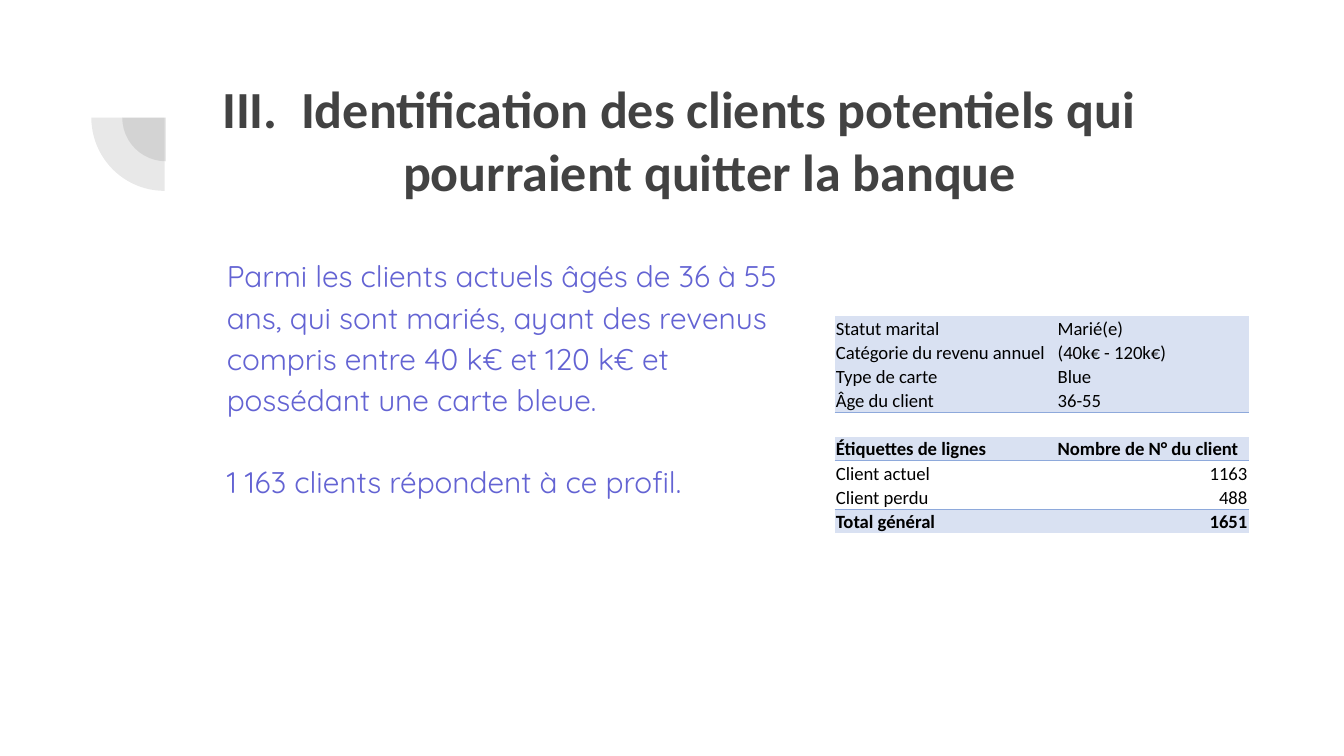
from typing import NamedTuple

from lxml import etree
from pptx import Presentation
from pptx.dml.color import RGBColor
from pptx.enum.shapes import MSO_SHAPE
from pptx.enum.text import MSO_ANCHOR, PP_ALIGN
from pptx.oxml.ns import qn
from pptx.util import Inches, Pt

PIE = MSO_SHAPE.PIE
TOP, BOTTOM = MSO_ANCHOR.TOP, MSO_ANCHOR.BOTTOM
LEFT, CENTER, RIGHT = PP_ALIGN.LEFT, PP_ALIGN.CENTER, PP_ALIGN.RIGHT
COLORS = {"dark": "424242", "violet": "6363D3", "black": "000000",
          "band": "D9E1F2", "rule": "8EA9DB"}
NO_TABLE_STYLE = "{2D5ABB26-0587-4C30-8999-92F81FD0307C}"


class Box(NamedTuple):
    left: float
    top: float
    width: float
    height: float


class Insets(NamedTuple):
    left: float
    top: float
    right: float
    bottom: float


class TextStyle(NamedTuple):
    font: str
    size: float
    color: str
    bold: bool = False


class TableRow(NamedTuple):
    label: str = ""
    value: str = ""
    banded: bool = False
    bold: bool = False
    rule_below: bool = False
    value_align: PP_ALIGN = LEFT


QUARTERS = [Box(0.91, 0.55, 0.65, 0.65), Box(0.68, 0.33, 1.09, 1.09)]
TITLE = ("III.  Identification des clients potentiels qui\v"
         "pourraient quitter la banque")
BODY = [
    "Parmi les clients actuels âgés de 36 à 55 ans, qui sont mariés, ayant des "
    "revenus compris entre 40 k€ et 120 k€ et possédant une carte bleue.",
    "1 163 clients répondent à ce profil.",
]
ROWS = [
    TableRow("Statut marital", "Marié(e)", banded=True),
    TableRow("Catégorie du revenu annuel", "(40k€ - 120k€)", banded=True),
    TableRow("Type de carte", "Blue", banded=True),
    TableRow("Âge du client", "36-55", banded=True, rule_below=True),
    TableRow(),
    TableRow("Étiquettes de lignes", "Nombre de N° du client",
             banded=True, bold=True, rule_below=True),
    TableRow("Client actuel", "1163", value_align=RIGHT),
    TableRow("Client perdu", "488", rule_below=True, value_align=RIGHT),
    TableRow("Total général", "1651", banded=True, bold=True, value_align=RIGHT),
]
COLUMN_WIDTHS = [1.65, 1.43]
ROW_HEIGHT = 0.18
TABLE_TEXT_SIZE = 10


def rgb(name: str) -> RGBColor:
    return RGBColor.from_string(COLORS[name])


def format_runs(paragraph, style: TextStyle) -> None:
    for run in paragraph.runs:
        run.font.name = style.font
        run.font.size = Pt(style.size)
        run.font.bold = style.bold
        run.font.color.rgb = rgb(style.color)


def add_quarter(slide, box: Box) -> None:
    shape = slide.shapes.add_shape(PIE, *map(Inches, box))
    shape.adjustments[0], shape.adjustments[1] = 108, 162
    shape.rotation = 270
    shape.shadow.inherit = False
    shape.line.fill.background()
    shape.fill.solid()
    shape.fill.fore_color.rgb = rgb("dark")
    color = shape.fill._xPr.find(f".//{qn('a:srgbClr')}")
    etree.SubElement(color, qn("a:alpha"), val="12000")


def add_text_frame(slide, box: Box, insets: Insets):
    text_frame = slide.shapes.add_textbox(*map(Inches, box)).text_frame
    text_frame.word_wrap = True
    text_frame.vertical_anchor = TOP
    text_frame.margin_left = Inches(insets.left)
    text_frame.margin_top = Inches(insets.top)
    text_frame.margin_right = Inches(insets.right)
    text_frame.margin_bottom = Inches(insets.bottom)
    return text_frame


def set_indent(paragraph, left: float, first_line: float = 0) -> None:
    properties = paragraph._p.get_or_add_pPr()
    properties.set("marL", str(Inches(left)))
    properties.set("indent", str(Inches(first_line)))


def add_title(slide) -> None:
    # The hanging indent sets the first line a little left of the second
    hang = 0.46
    text_frame = add_text_frame(slide, Box(1.27, 0.48, 8.02, 1.09),
                                Insets(0, 0.09, hang, 0))
    text_frame.text = TITLE
    paragraph = text_frame.paragraphs[0]
    set_indent(paragraph, hang, -hang)
    paragraph.alignment = CENTER
    format_runs(paragraph, TextStyle("Calibri", 27.9, "dark", bold=True))


def add_body(slide) -> None:
    text_frame = add_text_frame(slide, Box(1.43, 1.51, 4.53, 2.61),
                                Insets(0.1, 0.37, 0.1, 0.1))
    text_frame.text = "\n".join(BODY)
    for index, paragraph in enumerate(text_frame.paragraphs):
        set_indent(paragraph, 0.16)
        paragraph.line_spacing = 1.15
        if index:
            paragraph.space_before = Pt(22)
        format_runs(paragraph, TextStyle("Quicksand", 16, "violet"))


def add_border(cell, side: str, visible: bool) -> None:
    line = etree.SubElement(cell._tc.get_or_add_tcPr(), qn(f"a:{side}"),
                            w=str(Pt(0.5)))
    if visible:
        fill = etree.SubElement(line, qn("a:solidFill"))
        etree.SubElement(fill, qn("a:srgbClr"), val=COLORS["rule"])
    else:
        etree.SubElement(line, qn("a:noFill"))


def fill_cell(cell, text: str, row: TableRow, align: PP_ALIGN, rule_above: bool) -> None:
    cell.margin_left = cell.margin_right = cell.margin_top = Inches(0.01)
    cell.margin_bottom = 0
    cell.vertical_anchor = BOTTOM
    add_border(cell, "lnT", rule_above)
    add_border(cell, "lnB", row.rule_below)
    if row.banded:
        cell.fill.solid()
        cell.fill.fore_color.rgb = rgb("band")
    else:
        cell.fill.background()
    cell.text_frame.text = text
    paragraph = cell.text_frame.paragraphs[0]
    paragraph.alignment = align
    format_runs(paragraph, TextStyle("Calibri", TABLE_TEXT_SIZE, "black", row.bold))
    if not text:
        # Keeps the empty row as low as the others
        etree.SubElement(paragraph._p, qn("a:endParaRPr"),
                         sz=str(TABLE_TEXT_SIZE * 100))


def add_client_table(slide) -> None:
    frame = slide.shapes.add_table(
        len(ROWS), len(COLUMN_WIDTHS), Inches(6.21), Inches(2.35),
        Inches(sum(COLUMN_WIDTHS)), Inches(ROW_HEIGHT * len(ROWS)))
    table = frame.table
    table.first_row = table.horz_banding = False
    table._tbl.tblPr.find(qn("a:tableStyleId")).text = NO_TABLE_STYLE
    for column, width in zip(table.columns, COLUMN_WIDTHS):
        column.width = Inches(width)
    rule_above = False
    for index, row in enumerate(ROWS):
        table.rows[index].height = Inches(ROW_HEIGHT)
        fill_cell(table.cell(index, 0), row.label, row, LEFT, rule_above)
        fill_cell(table.cell(index, 1), row.value, row, row.value_align, rule_above)
        rule_above = row.rule_below


def main() -> None:
    presentation = Presentation()
    # Widescreen, 16:9
    presentation.slide_width = Inches(10)
    presentation.slide_height = Inches(10 * 9 / 16)
    slide = presentation.slides.add_slide(presentation.slide_layouts[6])

    # Quarter-circle ornament
    for box in QUARTERS:
        add_quarter(slide, box)

    # Heading, comment and figures
    add_title(slide)
    add_body(slide)
    add_client_table(slide)
    presentation.save("out.pptx")


if __name__ == "__main__":
    main()
